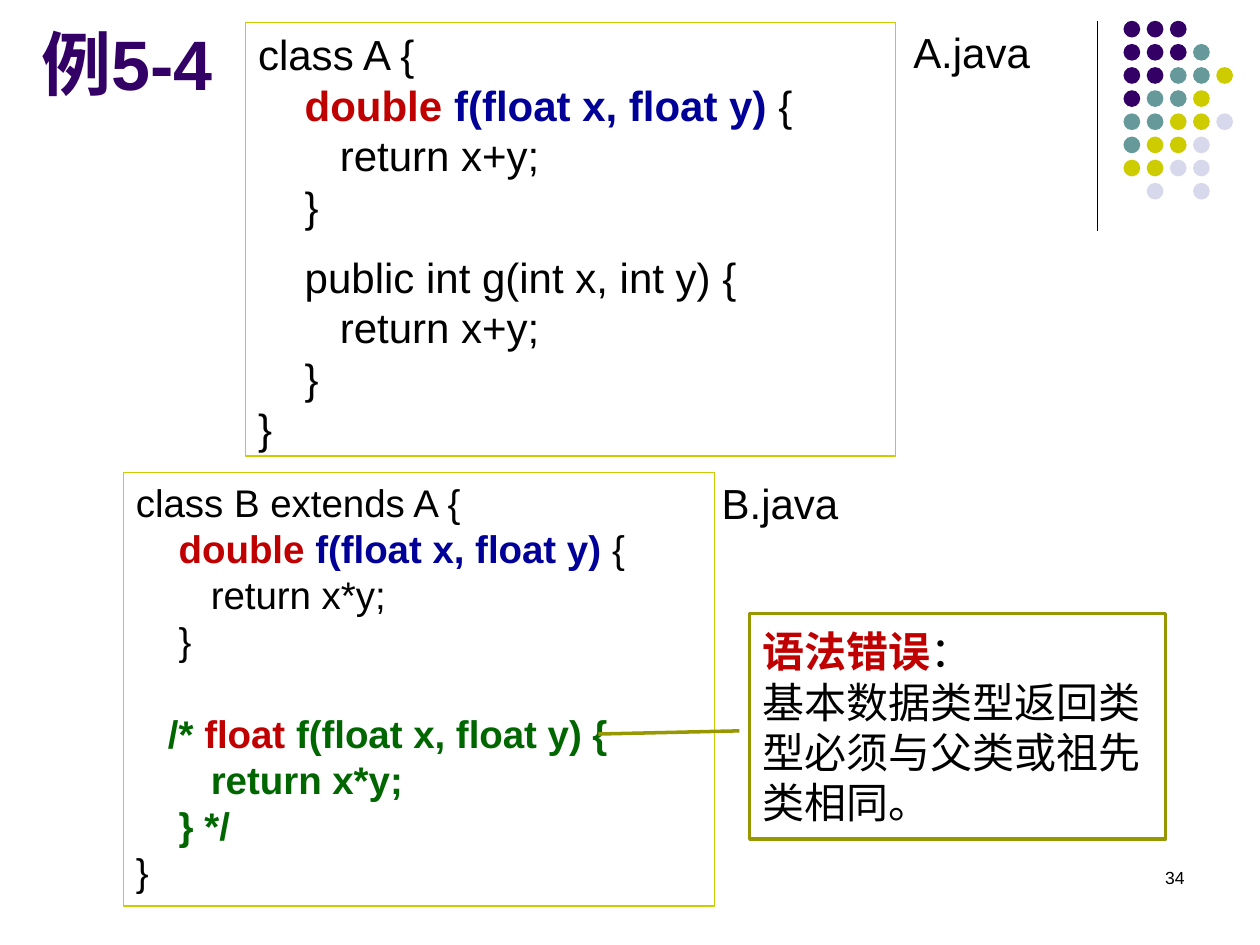
from dataclasses import dataclass
from typing import NamedTuple

from lxml.etree import SubElement
from pptx import Presentation
from pptx.dml.color import RGBColor
from pptx.enum.shapes import MSO_CONNECTOR, MSO_SHAPE
from pptx.enum.text import MSO_ANCHOR, PP_ALIGN
from pptx.oxml.ns import qn
from pptx.util import Inches, Pt

WIDTH, HEIGHT = Inches(10), Inches(7.5)
FONT = "Arial"
SPACE_WIDTH = 0.278  # width of a space, in ems
BLACK, RED, BLUE, GREEN = "000000", "C00000", "000099", "006600"
PURPLE, TEAL, YELLOW, PALE, OLIVE = "330066", "669999", "CCCC00", "D8D8EC", "979700"


class Area(NamedTuple):
    """A rectangle in percent of the slide's width and height."""
    left: float
    top: float
    width: float
    height: float


class Span(NamedTuple):
    text: str
    color: str = BLACK
    bold: bool = False


@dataclass
class Line:
    """One paragraph; indent counts spaces, before counts points."""
    spans: list[Span]
    indent: int = 0
    before: float = 0


def across(percent: float) -> int:
    return round(WIDTH * percent / 100)


def down(percent: float) -> int:
    return round(HEIGHT * percent / 100)


def place(area: Area) -> tuple[int, int, int, int]:
    return across(area.left), down(area.top), across(area.width), down(area.height)


def rgb(color: str) -> RGBColor:
    return RGBColor.from_string(color)


def plain(text: str, indent: int = 0, before: float = 0) -> Line:
    return Line([Span(text)], indent, before)


def add_shape(page, kind, area: Area, fill: str = "", outline: str = "", weight: float = 0.75):
    shape = page.shapes.add_shape(kind, *place(area))
    shape.shadow.inherit = False
    if fill:
        shape.fill.solid()
        shape.fill.fore_color.rgb = rgb(fill)
    else:
        shape.fill.background()
    if outline:
        shape.line.color.rgb = rgb(outline)
        shape.line.width = Pt(weight)
    else:
        shape.line.fill.background()
    return shape


def write(box, lines: list[Line], *, size: float, anchor=MSO_ANCHOR.TOP,
          align=PP_ALIGN.LEFT, wrap: bool = True) -> None:
    frame = box.text_frame
    frame.word_wrap = wrap
    frame.vertical_anchor = anchor
    for number, line in enumerate(lines):
        para = frame.add_paragraph() if number else frame.paragraphs[0]
        para.alignment = align
        para.space_before = Pt(line.before)
        margin = Pt(line.indent * SPACE_WIDTH * size)
        para._p.get_or_add_pPr().set("marL", str(int(margin)))
        for span in line.spans:
            run = para.add_run()
            run.text = span.text
            run.font.name = FONT
            run.font.size = Pt(size)
            run.font.bold = span.bold
            run.font.color.rgb = rgb(span.color)


def add_text(page, area: Area, line: Line, **style) -> None:
    write(page.shapes.add_textbox(*place(area)), [line], **style)


def add_code(page, area: Area, lines: list[Line], size: float) -> None:
    box = add_shape(page, MSO_SHAPE.RECTANGLE, area, outline=YELLOW)
    write(box, lines, size=size)


def add_ornament(page) -> None:
    """Vertical rule and dot grid in the top right corner."""
    rule = page.shapes.add_connector(
        MSO_CONNECTOR.STRAIGHT, across(87.1), down(2.25), across(87.1), down(24.4))
    rule.line.color.rgb = rgb(BLACK)
    rule.line.width = Pt(0.75)
    SubElement(rule._element.spPr, qn("a:effectLst"))

    colors = {"P": PURPLE, "T": TEAL, "Y": YELLOW, "L": PALE}
    rows = ["PPP", "PPPT", "PPTTY", "PTTY", "TTYYL", "TYYL", "YYLL", ".L.L"]
    for row, pattern in enumerate(rows):
        for column, key in enumerate(pattern):
            if key in colors:
                dot = Area(89.17 + 1.84 * column, 2.2 + 2.45 * row, 1.33, 1.77)
                add_shape(page, MSO_SHAPE.OVAL, dot, fill=colors[key])


def main() -> None:
    deck = Presentation()
    deck.slide_width, deck.slide_height = WIDTH, HEIGHT
    page = deck.slides.add_slide(deck.slide_layouts[6])
    add_ornament(page)

    # Title and page number
    add_text(page, Area(2.3, 3.07, 17.2, 8.67), Line([Span("例5-4", PURPLE, True)]),
             size=40, anchor=MSO_ANCHOR.BOTTOM, wrap=False)
    add_text(page, Area(71.7, 91.07, 23.3, 6.67), plain("34"), size=10, align=PP_ALIGN.RIGHT)

    # Code of both classes
    signature = Line([Span("double", RED, True), Span(" f(float x, float y) ", BLUE, True),
                      Span("{")], indent=4)
    add_code(page, Area(19.5, 2.4, 51.6, 45.87), [
        plain("class A {"),
        signature,
        plain("return x+y;", 7),
        plain("}", 4),
        plain("public int g(int x, int y) {", 4, before=12),
        plain("return x+y;", 7),
        plain("}", 4),
        plain("}"),
    ], size=24)
    add_code(page, Area(9.8, 50, 46.9, 45.87), [
        plain("class B extends A {"),
        signature,
        plain("return x*y;", 7),
        plain("}", 4),
        Line([Span("/* ", GREEN, True), Span("float", RED, True),
              Span(" f(float x, float y) {", GREEN, True)], indent=3, before=26.4),
        Line([Span("return x*y;", GREEN, True)], indent=7),
        Line([Span("} */", GREEN, True)], indent=4),
        plain("}"),
    ], size=22)

    # File names
    for name, left, top in [("A.java", 71.5, 2.13), ("B.java", 56.3, 49.87)]:
        add_text(page, Area(left, top, 11.7, 6.67), plain(name), size=24, wrap=False)

    # Callout on the syntax error
    callout = add_shape(page, MSO_SHAPE.LINE_CALLOUT_1, Area(59.5, 64.93, 33, 23.87),
                        outline=OLIVE, weight=2)
    for index, share in enumerate([0.52, -0.025, 0.534, -0.364]):
        callout.adjustments[index] = share
    write(callout, [
        Line([Span("语法错误", RED, True), Span("：")]),
        plain("基本数据类型返回类型必须与父类或祖先类相同。"),
    ], size=24, anchor=MSO_ANCHOR.MIDDLE)

    deck.save("out.pptx")


if __name__ == "__main__":
    main()
